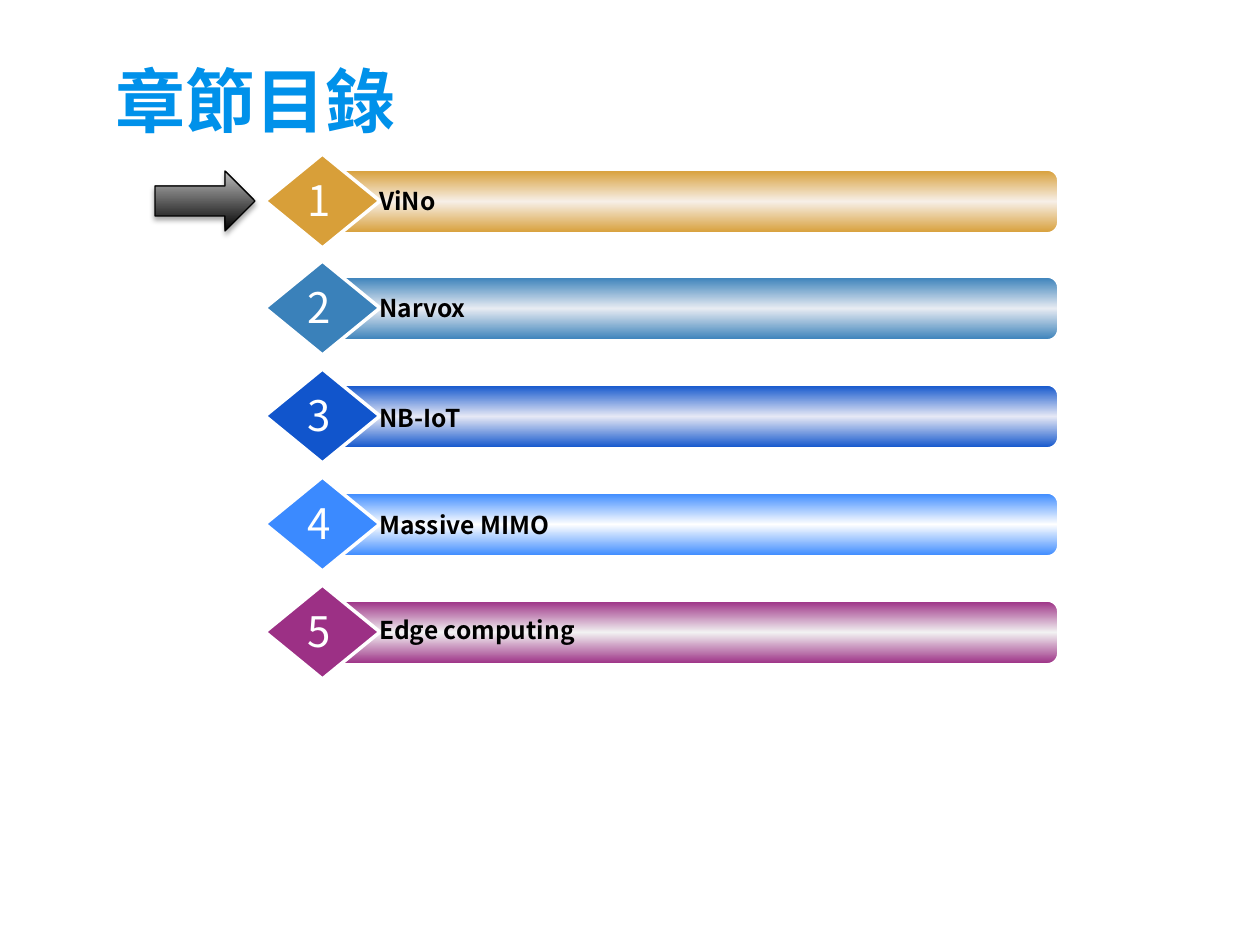
import copy
from dataclasses import dataclass

import pptx
import pptx.dml.color
import pptx.enum.shapes
import pptx.enum.text
import pptx.oxml
import pptx.oxml.ns
import pptx.util

PX = 914400 // 126
SHAPE = pptx.enum.shapes.MSO_SHAPE
ALIGN = pptx.enum.text.PP_ALIGN
ANCHOR = pptx.enum.text.MSO_ANCHOR


@dataclass(frozen=True)
class Theme:
    font: str = "Noto Sans CJK SC"
    title: str = "0091EA"
    dark: str = "000000"
    light: str = "FFFFFF"
    arrow_top: str = "BDBDBD"
    title_size: int = 40
    number_size: int = 24
    label_size: int = 14


THEME = Theme()

# Chapter name, edge colour, middle colour, label distance below the row top
CHAPTERS = [
    ("ViNo", "D89F39", "F7EFE7", 26),
    ("Narvox", "3A81BA", "E7EBF2", 26),
    ("NB-IoT", "1155CC", "E6E8F5", 28),
    ("Massive MIMO", "3B8AFF", "FFFFFF", 27),
    ("Edge computing", "9C3085", "F2F2F2", 24),
]
FIRST_TOP, LAST_TOP = 154, 585


def rgb(value):
    return pptx.dml.color.RGBColor.from_string(value)


def emu(*lengths):
    return [length * PX for length in lengths]


def add_text(shapes, place, text, size, color, bold=False, align=ALIGN.JUSTIFY, wrap=True):
    box = shapes.add_textbox(*emu(*place))
    box.text_frame.word_wrap = wrap
    para = box.text_frame.paragraphs[0]
    para.alignment = align
    span = para.add_run()
    span.text = text
    span.font.name = THEME.font
    span.font.size = pptx.util.Pt(size)
    span.font.bold = bold
    span.font.color.rgb = rgb(color)
    east_asian = pptx.oxml.parse_xml(
        f'<a:ea {pptx.oxml.ns.nsdecls("a")} typeface="{THEME.font}"/>')
    span.font._element.append(east_asian)
    return box


def add_outlined(shapes, kind, place, line_color, line_width):
    shape = shapes.add_shape(kind, *emu(*place))
    shape.shadow.inherit = False
    shape.line.color.rgb = rgb(line_color)
    shape.line.width = pptx.util.Pt(line_width)
    return shape


def fill_gradient(shape, colors, angle):
    """Spread the colours evenly; the angle runs counter-clockwise."""
    shape.fill.gradient()
    shape.fill.gradient_angle = angle
    stop_list = shape._element.spPr.find(".//" + pptx.oxml.ns.qn("a:gsLst"))
    while len(stop_list) < len(colors):
        stop_list.append(copy.deepcopy(stop_list[-1]))
    for index, (stop, color) in enumerate(zip(shape.fill.gradient_stops, colors)):
        stop.position = index / (len(colors) - 1)
        stop.color.rgb = rgb(color)


def add_soft_shadow(shape):
    effects = shape._element.spPr.find(pptx.oxml.ns.qn("a:effectLst"))
    effects.append(pptx.oxml.parse_xml(
        f'<a:outerShdw {pptx.oxml.ns.nsdecls("a")} blurRad="{pptx.util.Pt(3.1)}" '
        f'dist="{pptx.util.Pt(1.8)}" dir="5400000" rotWithShape="0">'
        f'<a:srgbClr val="{THEME.dark}"><a:alpha val="35000"/></a:srgbClr></a:outerShdw>'))


def add_title(page, text):
    box = add_text(page.shapes, (103, 25, 1043, 129), text, THEME.title_size,
                   THEME.title, bold=True, align=ALIGN.LEFT)
    frame = box.text_frame
    frame.vertical_anchor = ANCHOR.BOTTOM
    frame.margin_top = frame.margin_bottom = pptx.util.Inches(0.1)


def add_chapter(page, number, top, name, edge, middle, label_drop):
    shapes = page.shapes.add_group_shape().shapes
    bar = add_outlined(shapes, SHAPE.ROUNDED_RECTANGLE, (328, top + 16, 730, 63),
                       THEME.light, 1)
    bar.adjustments[0] = 0.17
    fill_gradient(bar, (edge, middle, edge), 270)

    diamond = add_outlined(shapes, SHAPE.DIAMOND, (265, top, 115, 94), THEME.light, 2)
    diamond.fill.solid()
    diamond.fill.fore_color.rgb = rgb(edge)

    add_text(shapes, (295, top + 14, 50, 64), str(number), THEME.number_size,
             THEME.light, wrap=False)
    add_text(shapes, (367, top + label_drop, 682, 43), name, THEME.label_size,
             THEME.dark, bold=True)


def add_current_arrow(page):
    arrow = add_outlined(page.shapes, SHAPE.RIGHT_ARROW, (155, 171, 100, 60),
                         THEME.dark, 0.75)
    fill_gradient(arrow, (THEME.dark, THEME.arrow_top), 90)
    add_soft_shadow(arrow)


def main():
    deck = pptx.Presentation()
    deck.slide_width = pptx.util.Inches(10)
    deck.slide_height = pptx.util.Inches(7.5)
    page = deck.slides.add_slide(deck.slide_layouts[6])

    add_title(page, "章節目錄")
    add_current_arrow(page)
    for index, chapter in enumerate(CHAPTERS):
        top = FIRST_TOP + (LAST_TOP - FIRST_TOP) * index // (len(CHAPTERS) - 1)
        add_chapter(page, index + 1, top, *chapter)
    deck.save("out.pptx")


if __name__ == "__main__":
    main()
